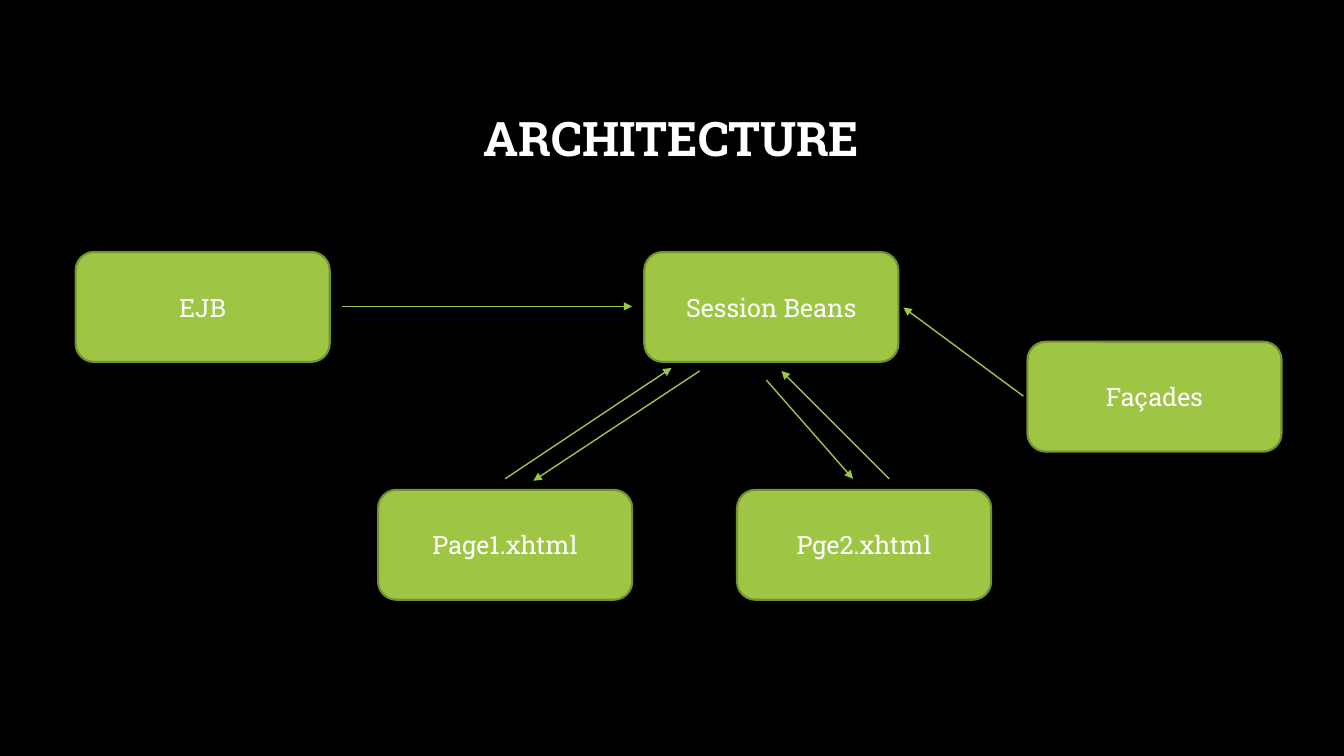
from typing import NamedTuple

from lxml import etree
from pptx import Presentation
from pptx.dml.color import RGBColor
from pptx.enum.shapes import MSO_CONNECTOR, MSO_SHAPE
from pptx.enum.text import MSO_ANCHOR, PP_ALIGN
from pptx.oxml.ns import qn
from pptx.util import Pt

PX = 9144
FONT = "Roboto Slab"
BLACK = RGBColor(0x00, 0x00, 0x00)
WHITE = RGBColor(0xFF, 0xFF, 0xFF)
GREEN = RGBColor(0x9E, 0xC5, 0x44)
OLIVE = RGBColor(0x75, 0x92, 0x32)
ROUND = MSO_SHAPE.ROUNDED_RECTANGLE
STRAIGHT = MSO_CONNECTOR.STRAIGHT
MIDDLE = MSO_ANCHOR.MIDDLE
CENTER = PP_ALIGN.CENTER
BOX_W, BOX_H = 252, 109


class Box(NamedTuple):
    label: str
    left: int
    top: int


class Arrow(NamedTuple):
    x1: int
    y1: int
    x2: int
    y2: int


TOP_ROW, LOW_ROW = 250, 486
BOXES = [
    Box("EJB", 75, TOP_ROW),
    Box("Session Beans", 639, TOP_ROW),
    Box("Façades", 1019, 339),
    Box("Page1.xhtml", 375, LOW_ROW),
    Box("Pge2.xhtml", 731, LOW_ROW),
]
ARROWS = [
    Arrow(339, 304, 627, 304),
    Arrow(1015, 393, 896, 305),
    Arrow(501, 475, 666, 365),
    Arrow(694, 368, 529, 477),
    Arrow(760, 377, 846, 475),
    Arrow(882, 475, 775, 368),
]


def write(shape, text: str, size: int, bold: bool = False):
    frame = shape.text_frame
    frame.word_wrap = True
    frame.vertical_anchor = MIDDLE
    para = frame.paragraphs[0]
    para.alignment = CENTER
    run = para.add_run()
    run.text = text
    font = run.font
    font.name = FONT
    font.size = Pt(size)
    font.bold = bold
    font.color.rgb = WHITE
    return para


def draw_title(slide, text: str) -> None:
    title = slide.shapes.add_textbox(100 * PX, 67 * PX, 1132 * PX, 145 * PX)
    para = write(title, text, 34, True)
    para.line_spacing = 0.9


def draw_box(slide, box: Box) -> None:
    shape = slide.shapes.add_shape(
        ROUND, box.left * PX, box.top * PX, BOX_W * PX, BOX_H * PX
    )
    shape.shadow.inherit = False
    shape.fill.solid()
    shape.fill.fore_color.rgb = GREEN
    shape.line.color.rgb = OLIVE
    shape.line.width = Pt(1.5)
    write(shape, box.label, 18)


def draw_arrow(slide, arrow: Arrow) -> None:
    link = slide.shapes.add_connector(STRAIGHT, *(n * PX for n in arrow))
    link.line.color.rgb = GREEN
    link.line.width = Pt(1)
    props = link._element.spPr
    tail = etree.SubElement(props.find(qn("a:ln")), qn("a:tailEnd"))
    tail.set("type", "triangle")
    etree.SubElement(props, qn("a:effectLst"))


def main() -> None:
    deck = Presentation()
    deck.slide_width = 1333 * PX
    deck.slide_height = 750 * PX
    slide = deck.slides.add_slide(deck.slide_layouts[6])
    fill = slide.background.fill
    fill.solid()
    fill.fore_color.rgb = BLACK
    draw_title(slide, "ARCHITECTURE")
    for box in BOXES:
        draw_box(slide, box)
    for arrow in ARROWS:
        draw_arrow(slide, arrow)
    deck.save("out.pptx")


if __name__ == "__main__":
    main()
